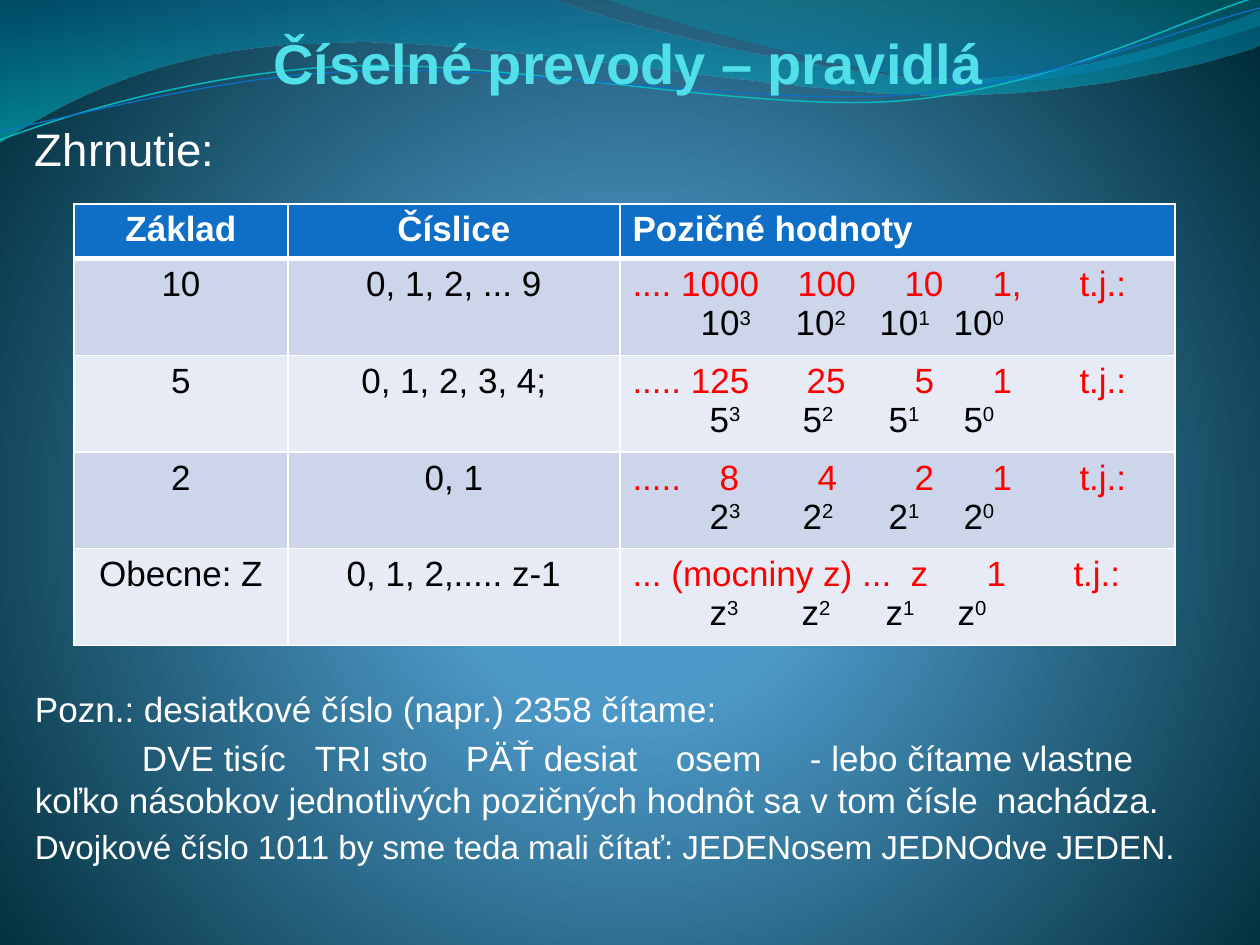
from lxml.etree import SubElement
from pptx import Presentation
from pptx.dml.color import RGBColor
from pptx.enum.text import MSO_ANCHOR, PP_ALIGN
from pptx.oxml import parse_xml
from pptx.oxml.ns import nsdecls, qn
from pptx.util import Inches, Pt

unit = 914400 // 126  # EMU in one px


def hue(code):
    return RGBColor.from_string(code)


def put(para, text, size=20, color="FFFFFF", bold=False, sup=False,
        align=PP_ALIGN.LEFT, gap=0, tabs=()):
    if tabs:
        stops = SubElement(para._p.get_or_add_pPr(), qn("a:tabLst"))
        for stop in tabs:
            SubElement(stops, qn("a:tab"), pos=str(stop * unit), algn="l")
    para.alignment = align
    if gap:
        para.space_before = Pt(gap)
    run = para.add_run()
    run.text = text
    run.font.name = "Arial"
    run.font.size = Pt(size)
    run.font.bold = bold
    run.font.color.rgb = hue(color)
    if sup:
        run._r.get_or_add_rPr().set("baseline", "30000")


deck = Presentation()
deck.slide_width, deck.slide_height = Inches(10), Inches(7.5)
slide = deck.slides.add_slide(deck.slide_layouts[6])
shapes = slide.shapes

# Waves and lines: each step is a straight end point or a Bezier triple
curves = [
    [(0, 0), [(554, -1)],
     [(600, 21), (837, 79), (955, 79)], [(1075, 79), (1207, 33), (1260, 11)],
     [(1261, 45)],
     [(1239, 55), (1096, 96), (940, 95)], [(784, 95), (481, 35), (324, 43)],
     [(163, 45), (58, 105), (-1, 142)], [(0, 0)]],
    [(604, -1),
     [(641, 14), (859, 78), (969, 82)], [(1079, 87), (1211, 40), (1260, 26)],
     [(1260, 0)], [(604, -1)]],
    [(0, 140),
     [(60, 117), (199, 72), (349, 66)], [(498, 59), (747, 112), (898, 101)],
     [(1050, 89), (1182, 19), (1257, -3)]],
    [(0, 131),
     [(59, 121), (207, 77), (357, 71)], [(508, 64), (752, 106), (903, 95)],
     [(1053, 84), (1186, 26), (1260, 8)]],
]
pens = [None, None, ("0AB8BF", 0.85), ("0F6FC6", 0.75)]
waves = []
for (start, *steps), pen in zip(curves, pens):
    form = shapes.build_freeform(start[0] * unit, start[1] * unit, scale=1.0)
    form.add_line_segments([(x * unit, y * unit) for step in steps for x, y in step],
                           close=pen is None)
    shape = form.convert_to_shape()
    shape.shadow.inherit = False
    # Join each triple of straight segments into one Bezier segment
    parts = iter(list(shape._element.iter(qn("a:lnTo"))))
    for step in steps:
        first, *rest = [next(parts) for dot in step]
        if rest:
            first.tag = qn("a:cubicBezTo")
        for part in rest:
            first.append(part[0])
            part.getparent().remove(part)
    if pen:
        shape.fill.background()
        shape.line.color.rgb = hue(pen[0])
        shape.line.width = Pt(pen[1])
    else:
        shape.line.fill.background()
        waves.append(shape)

# Gradients of the background and the two waves
ring = ('<a:path path="circle"><a:fillToRect l="10000" t="110000" '
        'r="10000" b="100000"/></a:path>')
down = '<a:lin ang="5400000" scaled="0"/>'
fills = [
    (slide.background.fill, slide.element, ring,
     [(0, "4AA0D6", 100), (25, "4C98C7", 100), (100, "002C38", 100)]),
    (waves[0].fill, waves[0]._element, down, [(0, "0074A1", 45), (100, "00C6CF", 55)]),
    (waves[1].fill, waves[1]._element, down, [(0, "00A1A9", 30), (80, "008BBF", 45)]),
]
for fill, node, course, stops in fills:
    fill.gradient()
    old = next(node.iter(qn("a:gradFill")))
    marks = "".join(
        f'<a:gs pos="{pos * 1000}"><a:srgbClr val="{code}">'
        f'<a:alpha val="{alpha * 1000}"/></a:srgbClr></a:gs>'
        for pos, code, alpha in stops)
    old.getparent().replace(old, parse_xml(
        f'<a:gradFill {nsdecls("a")} rotWithShape="1">'
        f'<a:gsLst>{marks}</a:gsLst>{course}</a:gradFill>'))

# Text boxes
frames = []
for box, pad in [((0, 0, 1260, 96), 0), ((35, 115, 238, 69), 6), ((35, 681, 1185, 218), 6)]:
    frame = shapes.add_textbox(*[n * unit for n in box]).text_frame
    frame.word_wrap = True
    frame.margin_left, frame.margin_right = 0, 3 * unit
    frame.margin_top = frame.margin_bottom = pad * unit
    frames.append(frame)
title, head, note = frames
title.vertical_anchor = MSO_ANCHOR.BOTTOM
put(title.paragraphs[0], "Číselné prevody – pravidlá", size=32, color="51E0EA",
    bold=True, align=PP_ALIGN.CENTER)
put(head.paragraphs[0], "Zhrnutie:", size=26)
put(note.paragraphs[0], "Pozn.: desiatkové číslo (napr.) 2358 čítame:")
put(note.add_paragraph(),
    "\tDVE tisíc\tTRI sto\tPÄŤ desiat\tosem\t- lebo čítame vlastne "
    "koľko násobkov jednotlivých pozičných hodnôt sa v tom čísle\tnachádza.",
    gap=4, tabs=(107, 280, 431, 641, 775, 962))
put(note.add_paragraph(),
    "Dvojkové číslo 1011 by sme teda mali čítať: JEDENosem JEDNOdve JEDEN.",
    size=19, gap=3.5)

# Table: base, digits, place values with tabs, base of powers with tabs
rows = [
    ("10", "0, 1, 2, ... 9", ".... 1000\t100\t10\t1,\tt.j.:", (165, 272, 360, 447),
     "10", (68, 163, 247, 321)),
    ("5", "0, 1, 2, 3, 4;", "..... 125\t25\t5\t1\tt.j.:", (174, 282, 360, 447),
     "5", (77, 170, 256, 331)),
    ("2", "0, 1", ".....\t8\t4\t2\t1\tt.j.:", (87, 185, 282, 360, 447),
     "2", (77, 170, 256, 331)),
    ("Obecne: Z", "0, 1, 2,..... z-1", "... (mocniny z) ...\tz\t1\tt.j.:", (278, 354, 441),
     "z", (77, 169, 253, 325)),
]
grid = shapes.add_table(5, 3, 74 * unit, 204 * unit, 1101 * unit, 441 * unit)
table = grid.table
table.first_row = table.horz_banding = False
for col, wide in zip(table.columns, (214, 332, 555)):
    col.width = wide * unit
for row in table.rows:
    row.height = 51 * unit  # rows grow with their text
grid.height = 441 * unit

for cell, text, align in zip(table.rows[0].cells, ("Základ", "Číslice", "Pozičné hodnoty"),
                             (PP_ALIGN.CENTER, PP_ALIGN.CENTER, PP_ALIGN.LEFT)):
    put(cell.text_frame.paragraphs[0], text, bold=True, align=align)
for i, (base, digits, places, tabs, root, marks) in enumerate(rows, 1):
    for j, text in enumerate((base, digits)):
        put(table.cell(i, j).text_frame.paragraphs[0], text, color="000000",
            align=PP_ALIGN.CENTER)
    frame = table.cell(i, 2).text_frame
    put(frame.paragraphs[0], places, color="FF0000", tabs=tabs)
    para = frame.add_paragraph()
    for power in (3, 2, 1, 0):
        put(para, "\t" + root, color="000000", tabs=marks if power == 3 else ())
        put(para, str(power), color="000000", sup=True)

# Cell fills and borders
for i, row in enumerate(table.rows):
    for cell in row.cells:
        cell.fill.solid()
        cell.fill.fore_color.rgb = hue("0F6FC6" if i == 0 else "CCD5EA" if i % 2 else "E7EBF5")
        props = cell._tc.get_or_add_tcPr()
        for k, side in enumerate("LRTB"):
            thick = (i, side) in ((0, "B"), (1, "T"))
            props.insert(k, parse_xml(
                f'<a:ln{side} {nsdecls("a")} w="{Pt(3 if thick else 1)}"><a:solidFill>'
                f'<a:srgbClr val="FFFFFF"/></a:solidFill></a:ln{side}>'))

deck.save("out.pptx")
